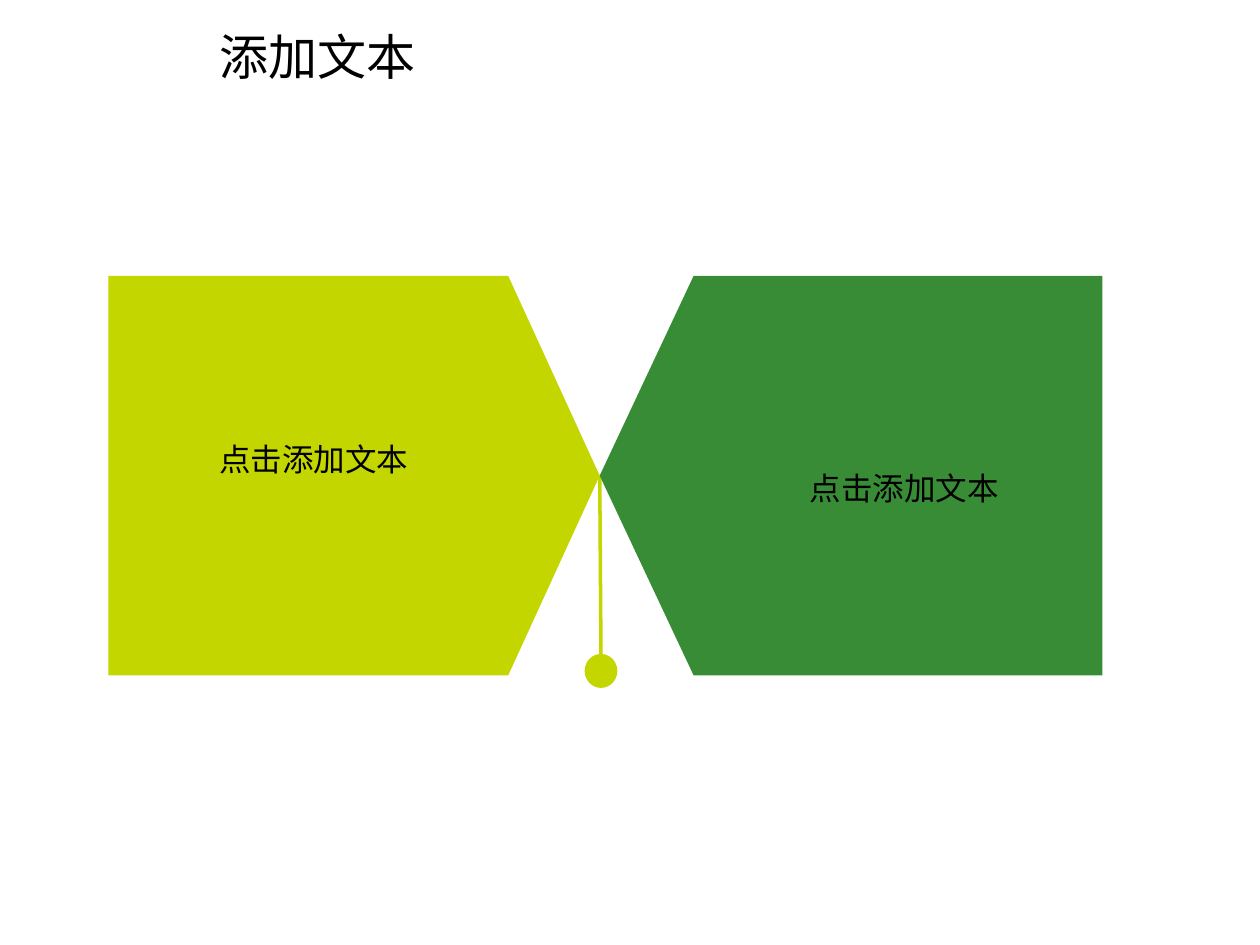
from dataclasses import dataclass

from lxml import etree
from pptx import Presentation
from pptx.dml.color import RGBColor
from pptx.enum import shapes, text
from pptx.oxml import ns
from pptx.util import Inches, Pt


@dataclass(frozen=True)
class Theme:
    font: str = "Noto Sans CJK SC"
    ink: RGBColor = RGBColor(0, 0, 0)
    lime: RGBColor = RGBColor(0xC3, 0xD6, 0x00)
    green: RGBColor = RGBColor(0x38, 0x8C, 0x36)
    title: int = 28
    body: int = 18


THEME = Theme()


def write(box, words, size):
    frame = box.text_frame
    frame.text = words
    frame.word_wrap = False
    frame.auto_size = text.MSO_AUTO_SIZE.SHAPE_TO_FIT_TEXT
    frame.vertical_anchor = text.MSO_ANCHOR.TOP
    para = frame.paragraphs[0]
    para.alignment = text.PP_ALIGN.LEFT
    font = para.font
    font.name = THEME.font
    font.size = Pt(size)
    font.color.rgb = THEME.ink
    # East Asian glyphs take their typeface from a:ea
    east = etree.SubElement(para._p.pPr.defRPr, ns.qn("a:ea"))
    east.set("typeface", THEME.font)


def add_title(slide, words):
    title = slide.shapes.title
    title.left, title.top = Inches(1.64), Inches(0.16)
    title.width, title.height = Inches(1.77), Inches(0.57)
    write(title, words, THEME.title)


def add_label(slide, words, left, top):
    box = slide.shapes.add_textbox(
        Inches(left), Inches(top), Inches(1.72), Inches(0.4))
    write(box, words, THEME.body)


def add_solid(slide, kind, left, top, width, height, color):
    shape = slide.shapes.add_shape(
        kind, Inches(left), Inches(top), Inches(width), Inches(height))
    shape.shadow.inherit = False
    shape.fill.solid()
    shape.fill.fore_color.rgb = color
    shape.line.fill.background()
    return shape


def add_arrow(slide, left, width, tip, color, flip=False):
    """Add a pentagon arrow; tip is its point's length over its height."""
    arrow = add_solid(slide, shapes.MSO_SHAPE.PENTAGON,
                      left, 2.19, width, 3.17, color)
    arrow.adjustments[0] = tip
    if flip:
        arrow._element.spPr.xfrm.set("flipH", "1")


def add_cord(slide, start, end, color):
    cord = slide.shapes.add_connector(
        shapes.MSO_CONNECTOR.STRAIGHT, *map(Inches, start + end))
    cord.line.color.rgb = color
    cord.line.width = Pt(2)
    etree.SubElement(cord._element.spPr, ns.qn("a:effectLst"))


def main():
    deck = Presentation()
    deck.slide_width, deck.slide_height = Inches(10), Inches(7.5)
    slide = deck.slides.add_slide(deck.slide_layouts[5])
    add_title(slide, "添加文本")

    meet = 4.76
    add_cord(slide, (meet, 3.77), (4.77, 5.19), THEME.lime)
    add_solid(slide, shapes.MSO_SHAPE.OVAL, 4.64, 5.19, 0.26, 0.27, THEME.lime)
    add_arrow(slide, meet, 3.99, 0.235, THEME.green, flip=True)
    add_arrow(slide, meet - 3.9, 3.9, 0.229, THEME.lime)

    for left, top in ((6.33, 3.67), (1.64, 3.44)):
        add_label(slide, "点击添加文本", left, top)
    deck.save("out.pptx")


if __name__ == "__main__":
    main()
